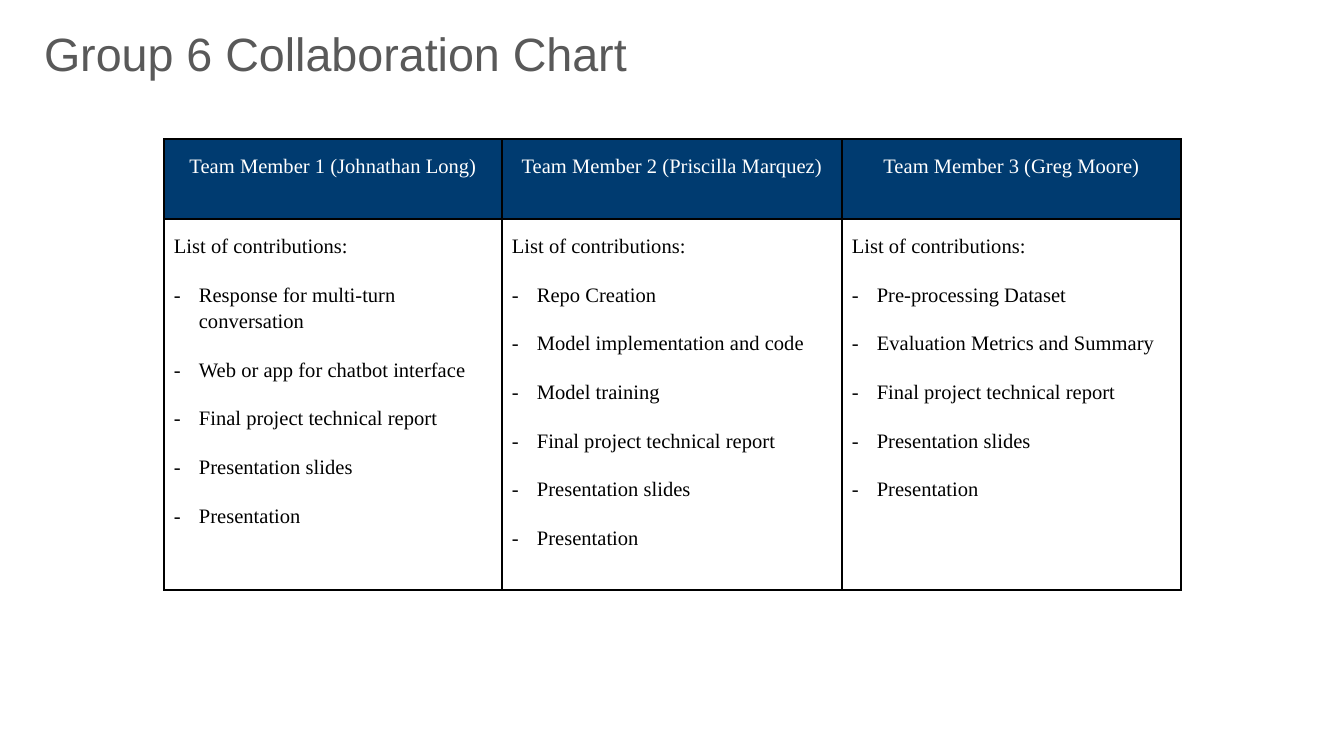
from lxml.etree import SubElement as Sub
from pptx import Presentation
from pptx.dml.color import RGBColor
from pptx.enum.text import MSO_ANCHOR as Anchor, MSO_AUTO_SIZE as AutoSize, PP_ALIGN as Align
from pptx.oxml.ns import qn
from pptx.util import Emu, Pt

NAVY = RGBColor(0x00, 0x3B, 0x70)
GRAY = RGBColor(0x59, 0x59, 0x59)
BLACK = RGBColor(0, 0, 0)
WHITE = RGBColor(255, 255, 255)

PX_PER_INCH = 134.4

CONTRIBUTIONS = {
    "Team Member 1 (Johnathan Long)": [
        "Response for multi-turn conversation",
        "Web or app for chatbot interface",
        "Final project technical report",
        "Presentation slides",
        "Presentation",
    ],
    "Team Member 2 (Priscilla Marquez)": [
        "Repo Creation",
        "Model implementation and code",
        "Model training",
        "Final project technical report",
        "Presentation slides",
        "Presentation",
    ],
    "Team Member 3 (Greg Moore)": [
        "Pre-processing Dataset",
        "Evaluation Metrics and Summary",
        "Final project technical report",
        "Presentation slides",
        "Presentation",
    ],
}


def px(length):
    return Emu(round(length * 914400 / PX_PER_INCH))


def assign(target, values):
    for name, value in values.items():
        setattr(target, name, value)


class SlideBuilder:
    title_font = {"name": "Arial", "size": Pt(25), "bold": False}
    table_font = {"name": "Times New Roman", "size": Pt(11), "bold": False}
    spacing = {"line_spacing": 1.15, "space_before": Pt(12)}
    cell_margins = {"margin_left": px(10), "margin_right": px(10),
                    "margin_top": px(13), "margin_bottom": px(13)}
    indent = px(25)

    def __init__(self, presentation):
        self.slide = presentation.slides.add_slide(presentation.slide_layouts[5])

    def title(self, text, left, top, width, height):
        title = self.slide.shapes.title
        assign(title, {"left": px(left), "top": px(top),
                       "width": px(width), "height": px(height)})
        frame = title.text_frame
        frame.text = text
        assign(frame, {"word_wrap": True, "auto_size": AutoSize.NONE,
                       "vertical_anchor": Anchor.TOP,
                       **dict.fromkeys(self.cell_margins, px(13))})
        paragraph = frame.paragraphs[0]
        paragraph.alignment = Align.LEFT
        assign(paragraph.font, self.title_font)
        paragraph.font.color.rgb = GRAY

    def table(self, left, top, column_widths, row_heights):
        table = self.slide.shapes.add_table(
            len(row_heights), len(column_widths), px(left), px(top),
            px(sum(column_widths)), px(sum(row_heights))).table
        assign(table, {"first_row": False, "horz_banding": False})
        for column, width in zip(table.columns, column_widths):
            column.width = px(width)
        for row, height in zip(table.rows, row_heights):
            row.height = px(height)
        return table

    def cell(self, cell, lines, color, fill=None, **layout):
        assign(cell, self.cell_margins)
        self.borders(cell)
        if fill is None:
            cell.fill.background()
        else:
            cell.fill.solid()
            cell.fill.fore_color.rgb = fill
        cell.text = "\n".join(lines)
        for index, paragraph in enumerate(cell.text_frame.paragraphs):
            assign(paragraph, {**self.spacing, **layout})
            assign(paragraph.font, self.table_font)
            paragraph.font.color.rgb = color
            for run in paragraph.runs:
                assign(run.font, self.table_font)
                run.font.color.rgb = color
            if index:
                self.dash(paragraph, color)

    def borders(self, cell):
        properties = cell._tc.get_or_add_tcPr()
        for side in ("lnL", "lnR", "lnT", "lnB"):
            line = Sub(properties, qn(f"a:{side}"), w=str(Pt(1)))
            Sub(Sub(line, qn("a:solidFill")), qn("a:srgbClr"), val=str(BLACK))

    def dash(self, paragraph, color):
        properties = paragraph._p.get_or_add_pPr()
        assign_xml = {"marL": self.indent, "indent": -self.indent}
        for name, value in assign_xml.items():
            properties.set(name, str(value))
        Sub(Sub(properties, qn("a:buClr")), qn("a:srgbClr"), val=str(color))
        Sub(properties, qn("a:buFont"), typeface=self.table_font["name"])
        Sub(properties, qn("a:buChar"), char="-")
        default_font = properties.find(qn("a:defRPr"))
        if default_font is not None:
            properties.append(default_font)


def main():
    presentation = Presentation()
    assign(presentation, {"slide_width": px(1344), "slide_height": px(756)})
    builder = SlideBuilder(presentation)
    builder.title("Group 6 Collaboration Chart", 31, 12, 892, 163)
    chart = builder.table(164, 139, [338, 340, 339], [80, 371])
    for column, (member, tasks) in enumerate(CONTRIBUTIONS.items()):
        builder.cell(chart.cell(0, column), [member], WHITE, NAVY,
                     alignment=Align.CENTER, space_after=Pt(12))
        builder.cell(chart.cell(1, column), ["List of contributions:", *tasks], BLACK)
    presentation.save("out.pptx")


if __name__ == "__main__":
    main()
